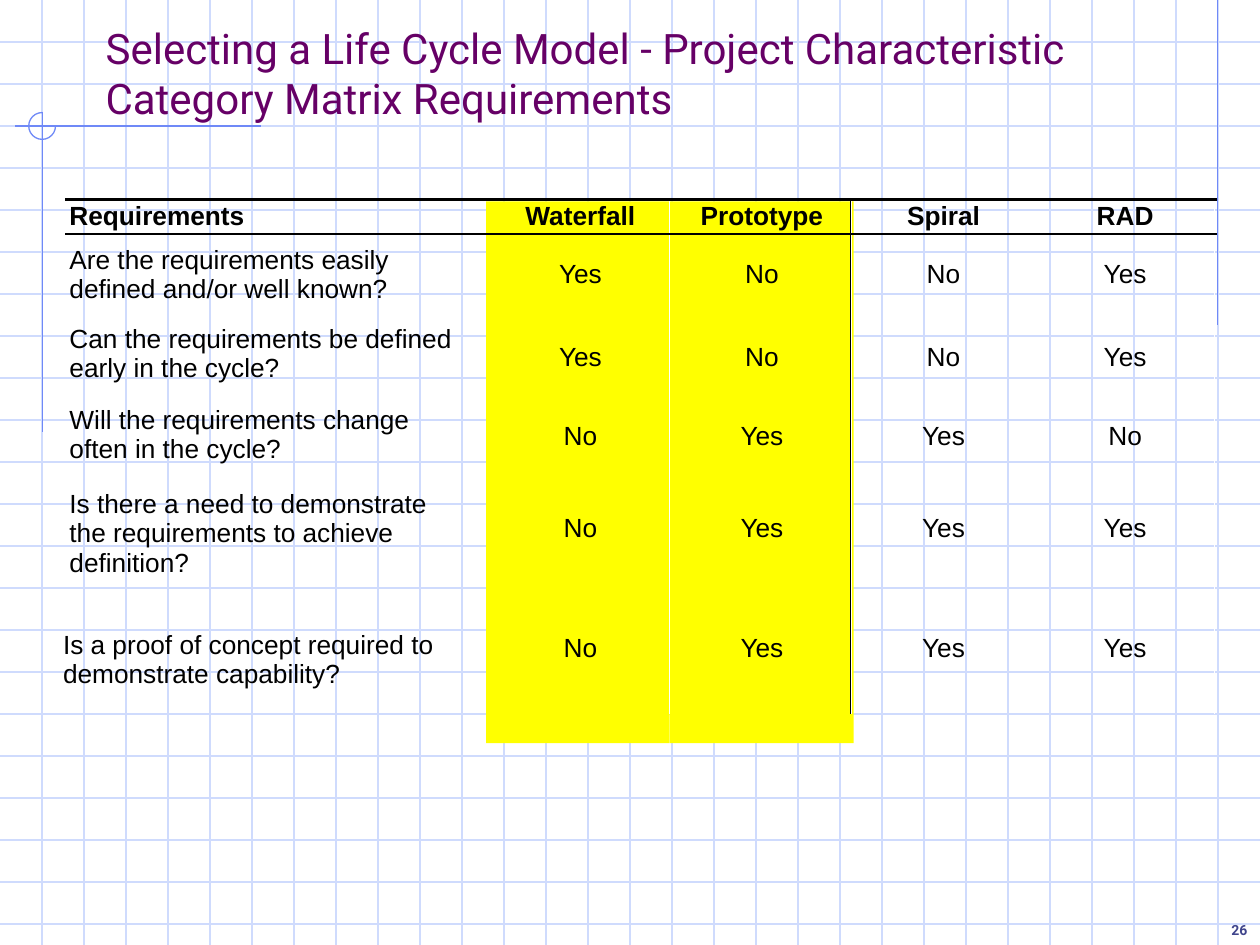
from dataclasses import dataclass

from lxml import etree
from pptx import Presentation
from pptx.dml.color import RGBColor
from pptx.enum.shapes import MSO_CONNECTOR, MSO_SHAPE
from pptx.enum.text import MSO_ANCHOR as Anchor, PP_ALIGN as Align
from pptx.oxml.ns import qn
from pptx.util import Cm, Pt


@dataclass(frozen=True)
class Theme:
    grid: RGBColor = RGBColor(0xCF, 0xDB, 0xFD)
    accent: RGBColor = RGBColor(0x6F, 0x89, 0xF7)
    highlight: RGBColor = RGBColor(0xFF, 0xFF, 0x00)
    title: RGBColor = RGBColor(0x66, 0x00, 0x66)
    number: RGBColor = RGBColor(0x40, 0x45, 0x8C)
    black: RGBColor = RGBColor(0x00, 0x00, 0x00)
    white: RGBColor = RGBColor(0xFF, 0xFF, 0xFF)
    title_size: Pt = Pt(24)
    table_size: Pt = Pt(15)
    number_size: Pt = Pt(8)
    heading_font: str = "Roboto"
    table_font: str = "Arial"


theme = Theme()
WIDTH, HEIGHT = 25.4, 19.05
NO_TABLE_STYLE = "{2D5ABB26-0587-4C30-8999-92F81FD0307C}"

deck = Presentation()
deck.slide_width, deck.slide_height = Cm(WIDTH), Cm(HEIGHT)
page = deck.slides.add_slide(deck.slide_layouts[6])
shapes = page.shapes


def draw_line(x1, y1, x2, y2, color, weight=0.75):
    line = shapes.add_connector(MSO_CONNECTOR.STRAIGHT, Cm(x1), Cm(y1), Cm(x2), Cm(y2))
    line.line.color.rgb = color
    line.line.width = Pt(weight)
    etree.SubElement(line._element.spPr, qn("a:effectLst"))


def write(frame, text, align, **font):
    """Put one formatted paragraph into a text frame."""
    frame.word_wrap = True
    para = frame.paragraphs[0]
    para.alignment = align
    span = para.add_run()
    span.text = text
    span.font.color.rgb = font.pop("color")
    for name, value in font.items():
        setattr(span.font, name, value)


# Background grid
step = WIDTH / 30
for i in range(1, 23):
    draw_line(0, i * step, WIDTH, i * step, theme.grid)
for i in range(1, 30):
    draw_line(i * step, 0, i * step, HEIGHT, theme.grid)

# Corner ornaments
for ends in [(24.55, 0, 24.55, 6.55), (5.26, 2.54, 0.3, 2.54), (0.85, 2.26, 0.85, 8.71)]:
    draw_line(*ends, theme.accent)
arc = shapes.add_shape(MSO_SHAPE.ARC, Cm(0.58), Cm(2.27), Cm(0.54), Cm(0.54))
arc.adjustments[0], arc.adjustments[1] = 0, 162  # clockwise from right to top
arc.shadow.inherit = False
arc.fill.background()
arc.line.color.rgb = theme.accent
arc.line.width = Pt(0.75)

# Highlight behind the Waterfall and Prototype columns
for i in range(2):
    band = shapes.add_shape(MSO_SHAPE.RECTANGLE, Cm(9.8 + i * 3.71), Cm(4.06), Cm(3.7), Cm(10.92))
    band.shadow.inherit = False
    band.fill.solid()
    band.fill.fore_color.rgb = theme.highlight
    band.line.fill.background()

# Requirements matrix: height, question top and left margin, answer top margin, texts
rows = [
    (0.71, 0.05, 0.13, 0.05, ["Requirements", "Waterfall", "Prototype", "Spiral", "RAD"]),
    (1.83, 0.23, 0.13, 0.51,
     ["Are the requirements easily defined and/or well known?", "Yes", "No", "No", "Yes"]),
    (1.63, 0, 0.13, 0.36,
     ["Can the requirements be defined early in the cycle?", "Yes", "No", "No", "Yes"]),
    (1.7, 0, 0.13, 0.33,
     ["Will the requirements change often in the cycle?", "No", "Yes", "Yes", "No"]),
    (2.84, 0, 0.13, 0.48,
     ["Is there a need to demonstrate the requirements to achieve definition?",
      "No", "Yes", "Yes", "Yes"]),
    (1.68, 0, 0, 0.05,
     ["Is a proof of concept required to demonstrate capability?", "No", "Yes", "Yes", "Yes"]),
]
column_widths = [8.56] + [3.66] * 4
matrix = shapes.add_table(
    len(rows), len(column_widths), Cm(1.27), Cm(4.01),
    Cm(sum(column_widths)), Cm(sum(row[0] for row in rows)),
).table
matrix._tbl.tblPr.find(qn("a:tableStyleId")).text = NO_TABLE_STYLE
matrix.first_row = matrix.horz_banding = False
for column, width in zip(matrix.columns, column_widths):
    column.width = Cm(width)

for r, (height, question_top, question_left, answer_top, texts) in enumerate(rows):
    matrix.rows[r].height = Cm(height)
    for c, text in enumerate(texts):
        cell = matrix.cell(r, c)
        cell.fill.background()
        is_question = c == 0
        margins = {
            "margin_left": question_left if is_question else 0.08,
            "margin_top": question_top if is_question else answer_top,
            "margin_right": 0.64 if is_question else 0,
            "margin_bottom": 0,
        }
        for name, value in margins.items():
            setattr(cell, name, Cm(value))
        write(cell.text_frame, text, Align.LEFT if is_question else Align.CENTER,
              name=theme.table_font, size=theme.table_size, color=theme.black, bold=r == 0)

# Column dividers and header rules
for x, color, weight in [(13.5, theme.white, 0.75), (17.14, theme.black, 0.25),
                         (17.17, theme.white, 0.75), (24.48, theme.white, 0.75)]:
    draw_line(x, 4.04, x, 14.4, color, weight)
for y, weight in [(4.02, 1.75), (4.72, 1.5)]:
    draw_line(1.32, y, 24.54, y, theme.black, weight)

# Title and slide number
labels = [
    ((1.88, 0.53, 21.59, 2.08), Align.LEFT, theme.title_size, theme.title, False,
     "Selecting a Life Cycle Model - Project Characteristic Category Matrix Requirements"),
    ((24.21, 18.29, 1.19, 0.76), Align.RIGHT, theme.number_size, theme.number, True, "26"),
]
for bounds, align, size, color, bold, text in labels:
    box = shapes.add_textbox(*map(Cm, bounds))
    box.text_frame.vertical_anchor = Anchor.BOTTOM
    write(box.text_frame, text, align,
          name=theme.heading_font, size=size, color=color, bold=bold)

deck.save("out.pptx")
